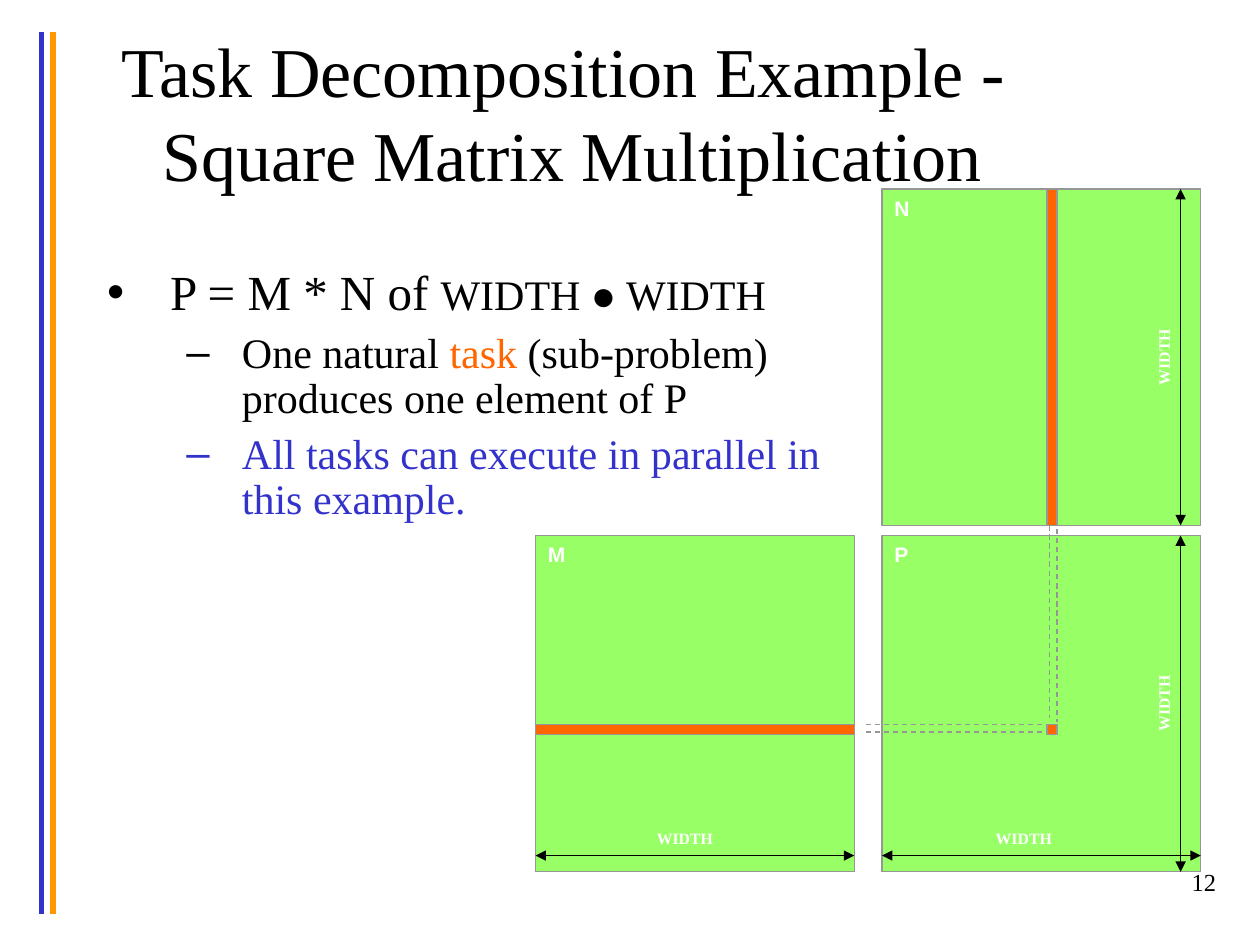
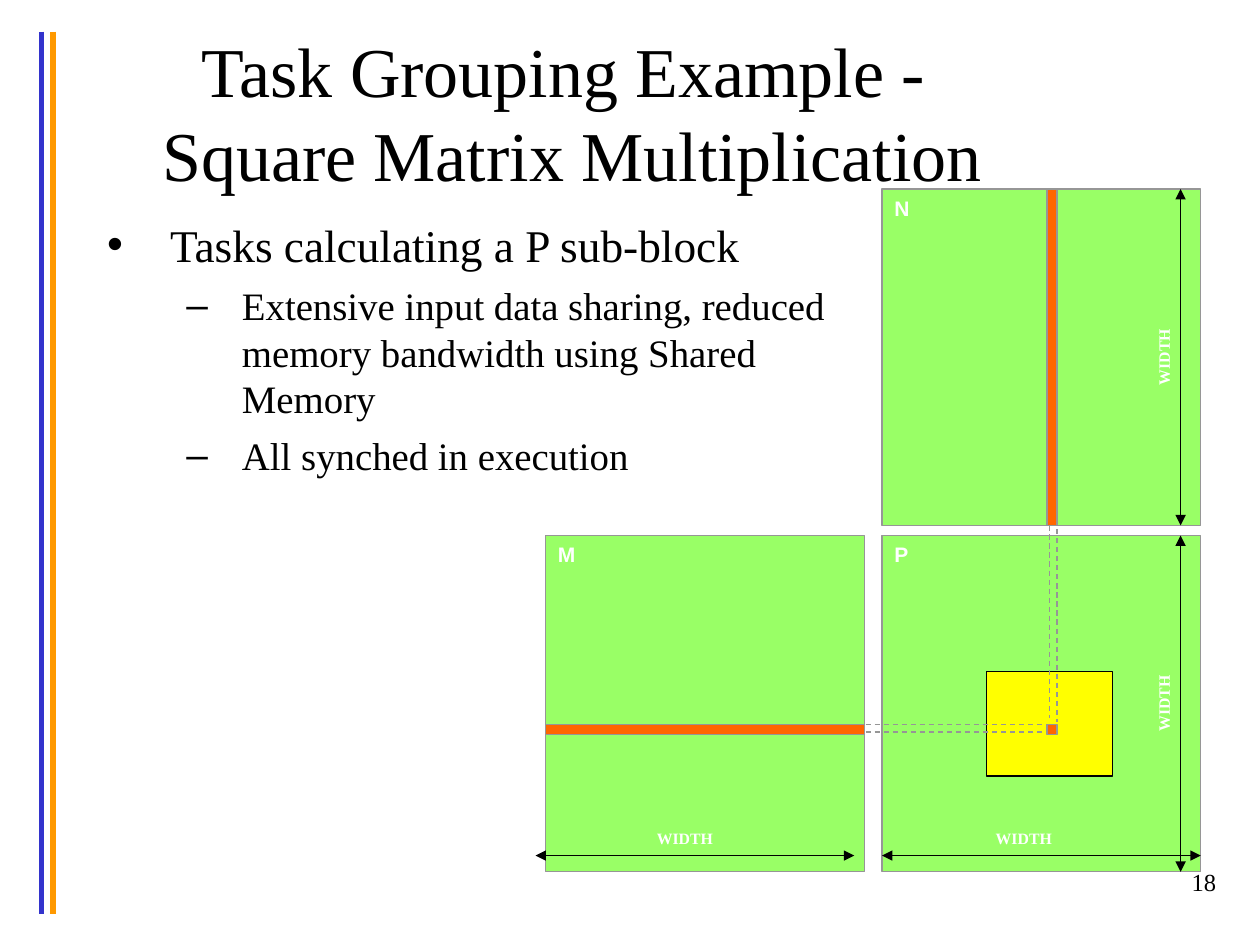
from lxml.etree import SubElement
from pptx import Presentation
from pptx.dml.color import RGBColor
from pptx.enum.dml import MSO_LINE_DASH_STYLE as DASH
from pptx.enum.shapes import MSO_CONNECTOR, MSO_SHAPE
from pptx.enum.text import MSO_ANCHOR, MSO_AUTO_SIZE, PP_ALIGN
from pptx.oxml.ns import qn
from pptx.util import Inches, Pt

COLORS = {
    "text": "000000", "white": "FFFFFF", "blue": "3333CC", "amber": "FF9900",
    "matrix": "99FF66", "outline": "969696", "task": "FF6600", "block": "FFFF00",
}
SERIF, SANS = "Times New Roman", "Arial"
MATRIX_WIDTH, MATRIX_HEIGHT, PITCH, STRIP = 2.53, 2.67, 2.75, 0.08
TASK_X, TASK_Y = 1.31, 1.5
INDENTS = [(0.5, -0.5), (1.07, -0.44)]


def color(name):
    """Return the named colour."""
    return RGBColor.from_string(COLORS[name])


def add_text(paragraph, text, size=24, font=SERIF, ink="text", bold=False, align=None):
    """Append formatted text to a paragraph, with a line break at each newline."""
    paragraph.alignment = align
    for number, line in enumerate(text.split("\n")):
        if number:
            paragraph.add_line_break()
            SubElement(paragraph._p[-1], qn("a:rPr"), sz=str(round(size * 100)))
        run = paragraph.add_run()
        run.text = line
        run.font.size = Pt(size)
        run.font.name = font
        run.font.bold = bold
        run.font.color.rgb = color(ink)


def add_box(slide, left, top, width, height, fill, line="outline"):
    """Add a filled, thinly outlined rectangle."""
    shape = slide.shapes.add_shape(
        MSO_SHAPE.RECTANGLE, Inches(left), Inches(top), Inches(width), Inches(height))
    shape.shadow.inherit = False
    shape.fill.solid()
    shape.fill.fore_color.rgb = color(fill)
    shape.line.color.rgb = color(line)
    shape.line.width = Pt(0.75)
    return shape


def add_line(slide, start, end, ink="text", width=0.5, dashed=False, arrows=False):
    """Add a straight line, optionally dashed or arrowed at both ends."""
    connector = slide.shapes.add_connector(
        MSO_CONNECTOR.STRAIGHT, *(Inches(value) for value in (*start, *end)))
    connector.line.color.rgb = color(ink)
    connector.line.width = Pt(width)
    if dashed:
        connector.line.dash_style = DASH.DASH
    if arrows:
        line = connector.line._get_or_add_ln()
        for tag in ("a:headEnd", "a:tailEnd"):
            SubElement(line, qn(tag), type="triangle")
    SubElement(connector._element.spPr, qn("a:effectLst"))


def add_label(slide, left, top, vertical=False):
    """Add a small WIDTH label, turned to read upwards when vertical."""
    label = slide.shapes.add_textbox(Inches(left), Inches(top), Inches(0.45), Inches(0.15))
    frame = label.text_frame
    frame.margin_left = frame.margin_right = frame.margin_top = frame.margin_bottom = 0
    frame.word_wrap = False
    frame.auto_size = MSO_AUTO_SIZE.SHAPE_TO_FIT_TEXT
    add_text(frame.paragraphs[0], "WIDTH", size=9, ink="white", bold=True, align=PP_ALIGN.CENTER)
    if vertical:
        label.rotation = 270


def add_matrix(slide, name, left, top):
    """Add one named matrix square."""
    shape = add_box(slide, left, top, MATRIX_WIDTH, MATRIX_HEIGHT, "matrix")
    frame = shape.text_frame
    frame.vertical_anchor = MSO_ANCHOR.TOP
    add_text(frame.paragraphs[0], name, size=12, font=SANS, ink="white", bold=True,
             align=PP_ALIGN.LEFT)


def add_width_arrows(slide, left, top):
    """Add the dimension arrows and labels of the three matrices."""
    for column, label_x in enumerate((0.96, 3.65)):
        start = left + column * PITCH
        add_line(slide, (start + MATRIX_WIDTH, top + 5.29), (start, top + 5.29), arrows=True)
        add_label(slide, left + label_x, top + 5.08)
    for row in range(2):
        start = top + row * PITCH
        add_line(slide, (left + 5.12, start + MATRIX_HEIGHT), (left + 5.12, start), arrows=True)
        add_label(slide, left + 4.76, start + 1.26, vertical=True)


def add_diagram(slide, left, top, m_shift=0, block=False):
    """Draw M, N and P with the row, column and element of one task."""
    p_left, p_top = left + PITCH, top + PITCH
    task_x, task_y = p_left + TASK_X, p_top + TASK_Y
    add_matrix(slide, "M", left + m_shift, p_top)
    add_matrix(slide, "N", p_left, top)
    add_matrix(slide, "P", p_left, p_top)
    if block:
        add_box(slide, p_left + 0.83, p_top + 1.08, 1, 0.83, "block", line="text")
    add_box(slide, task_x, top, STRIP, MATRIX_HEIGHT, "task")
    add_box(slide, left + m_shift, task_y, MATRIX_WIDTH, STRIP, "task")
    add_box(slide, task_x, task_y, STRIP, STRIP, "task")
    guide = {"ink": "outline", "width": 0.75, "dashed": True}
    for across, down in ((0.02, -0.08), (0.08, -0.05)):
        x, y = task_x + across, p_top + down
        add_line(slide, (x, y), (x, y + 1.53), **guide)
    for down in (0, 0.06):
        y = task_y + down
        add_line(slide, (p_left - 0.13, y), (task_x + 0.01, y), **guide)
    add_width_arrows(slide, left, top)


def place(shape, left, top, width, height):
    """Move and size a placeholder and return its text frame."""
    shape.left, shape.top = Inches(left), Inches(top)
    shape.width, shape.height = Inches(width), Inches(height)
    frame = shape.text_frame
    frame.word_wrap = True
    frame.auto_size = MSO_AUTO_SIZE.NONE
    return frame


def add_list(frame, items, line_spacing):
    """Fill a body placeholder from (level, runs) items."""
    for number, (level, runs) in enumerate(items):
        paragraph = frame.add_paragraph() if number else frame.paragraphs[0]
        paragraph.level = level
        margin, indent = INDENTS[level]
        properties = paragraph._p.get_or_add_pPr()
        properties.set("marL", str(Inches(margin)))
        properties.set("indent", str(Inches(indent)))
        paragraph.line_spacing = line_spacing
        paragraph.space_before = Pt(6 if number else 0)
        for text, style in runs:
            add_text(paragraph, text, **style)


def add_frame(slide, title, number):
    """Add the side bands, title and page number."""
    for x, ink in ((0.33, "blue"), (0.42, "amber")):
        add_line(slide, (x, 0.25), (x, 7.25), ink=ink, width=3)
    frame = place(slide.shapes.title, 0.5, 0.3, 8.08, 1.17)
    frame.vertical_anchor = MSO_ANCHOR.MIDDLE
    add_text(frame.paragraphs[0], title, size=40, align=PP_ALIGN.CENTER)
    page = slide.shapes.add_textbox(Inches(7.67), Inches(6.83), Inches(2.08), Inches(0.5))
    page.text_frame.word_wrap = True
    add_text(page.text_frame.paragraphs[0], number, size=14, align=PP_ALIGN.RIGHT)


def add_matrix_slide(presentation, title, number, items, body_box, line_spacing, **diagram):
    """Add a slide with a list and the matrix multiplication diagram."""
    slide = presentation.slides.add_slide(presentation.slide_layouts[1])
    add_list(place(slide.placeholders[1], *body_box), items, line_spacing)
    add_diagram(slide, 4.25, 1.5, **diagram)
    add_frame(slide, title, number)


def main():
    """Build and save the presentation."""
    presentation = Presentation()
    presentation.slide_width, presentation.slide_height = Inches(10), Inches(7.5)
    add_matrix_slide(
        presentation, "Task Decomposition Example - \nSquare Matrix Multiplication", "12",
        [(0, [("P = M * N of ", {"size": 28}), ("WIDTH ● WIDTH", {})]),
         (1, [("One natural ", {}), ("task", {"ink": "task"}),
              (" (sub-problem) produces one element of P", {})]),
         (1, [("All tasks can execute in parallel in this example.", {"ink": "blue"})])],
        (0.75, 2.08, 6, 2.29), 0.9)
    small = {"size": 22.2}
    add_matrix_slide(
        presentation, "Task Grouping Example - \nSquare Matrix Multiplication", "18",
        [(0, [("Tasks calculating a P sub-block", {"size": 25.9})]),
         (1, [("Extensive input data sharing, reduced memory bandwidth using Shared Memory",
               small)]),
         (1, [("All synched in execution", small)])],
        (0.75, 1.67, 6.17, 2.29), 1.0, m_shift=0.08, block=True)
    presentation.save("out.pptx")


if __name__ == "__main__":
    main()
